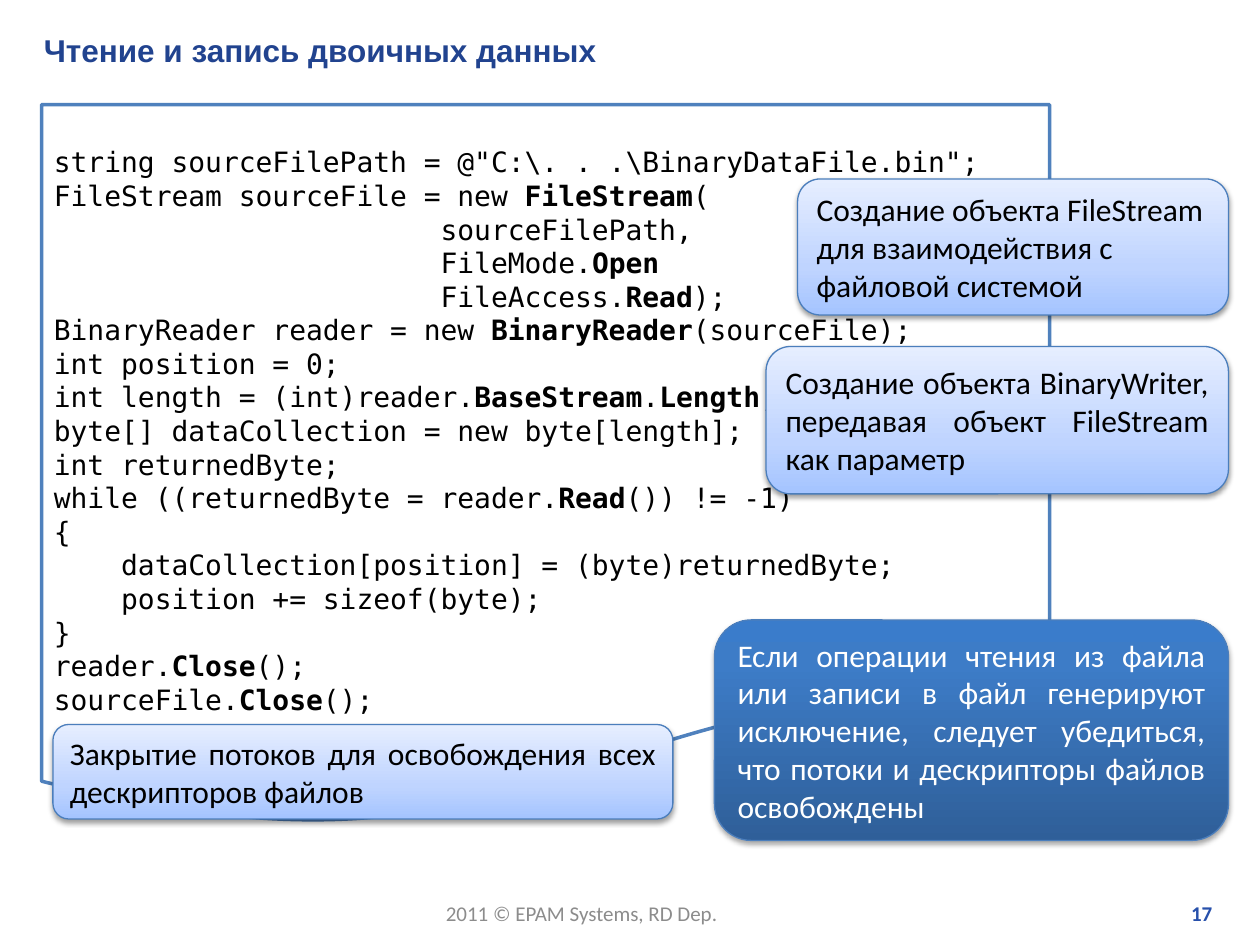
from lxml import etree
from pptx import Presentation
from pptx import util as u
from pptx.dml.color import RGBColor
from pptx.enum import shapes, text
from pptx.oxml import parse_xml
from pptx.oxml.ns import nsdecls, qn

LIGHT = [(0, "A4C4FF"), (35, "BFD4FF"), (100, "E6EEFF")]
DARK = [(0, "2F5F99"), (80, "3D7CC7"), (100, "3A7CCB")]
LEFT, JUSTIFY = text.PP_ALIGN.LEFT, text.PP_ALIGN.JUSTIFY

CODE = r'''string sourceFilePath = @"C:\. . .\BinaryDataFile.bin";
FileStream sourceFile = new *FileStream*(
                       sourceFilePath,
                       FileMode.*Open*
                       FileAccess.*Read*);
BinaryReader reader = new *BinaryReader*(sourceFile);
int position = 0;
int length = (int)reader.*BaseStream*.*Length*;
byte[] dataCollection = new byte[length];
int returnedByte;
while ((returnedByte = reader.*Read*()) != -1)
{
    dataCollection[position] = (byte)returnedByte;
    position += sizeof(byte);
}
reader.*Close*();
sourceFile.*Close*();'''

CALLOUTS = [
    ((0.42, 5.75, 4.92, 0.75), LIGHT, "000000", JUSTIFY,
     "Закрытие потоков для освобождения всех дескрипторов файлов"),
    ((6.33, 1.42, 3.42, 1.08), LIGHT, "000000", LEFT,
     "Создание объекта FileStream для взаимодействия с файловой системой"),
    ((6.08, 2.75, 3.67, 1.17), LIGHT, "000000", JUSTIFY,
     "Создание объекта BinaryWriter, передавая объект FileStream как параметр"),
    ((5.67, 4.92, 4.08, 1.75), DARK, "FFFFFF", JUSTIFY,
     "Если операции чтения из файла или записи в файл генерируют исключение, "
     "следует убедиться, что потоки и дескрипторы файлов освобождены"),
]


def color(value):
    """Turn a hex string into a colour."""
    return RGBColor.from_string(value)


def inches(box):
    """Turn left, top, width and height into lengths."""
    return [u.Inches(side) for side in box]


def add_run(paragraph, words, font, size, ink, bold=False):
    """Append one formatted run to a paragraph."""
    run = paragraph.add_run()
    run.text = words
    run.font.name, run.font.size, run.font.bold = font, u.Pt(size), bold
    run.font.color.rgb = color(ink)


def add_label(slide, box, words, font, size, ink, bold=False, align=LEFT, wrap=True):
    """Place one line of text in the given box."""
    frame = slide.shapes.add_textbox(*inches(box)).text_frame
    frame.word_wrap = wrap
    frame.vertical_anchor = text.MSO_ANCHOR.MIDDLE
    frame.paragraphs[0].alignment = align
    add_run(frame.paragraphs[0], words, font, size, ink, bold)


def add_panel(slide, kind, box, edge, weight):
    """Place an outlined shape without a shadow, ready for left-aligned text."""
    panel = slide.shapes.add_shape(kind, *inches(box))
    panel.shadow.inherit = False
    panel.line.color.rgb = color(edge)
    panel.line.width = u.Pt(weight)
    panel.text_frame.word_wrap = True
    return panel


def add_code(slide, box):
    """Place the listing, with names between asterisks in bold."""
    listing = add_panel(slide, shapes.MSO_SHAPE.FLOWCHART_DOCUMENT, box, "4F81BD", 2)
    listing.fill.solid()
    listing.fill.fore_color.rgb = color("FFFFFF")
    frame = listing.text_frame
    frame.vertical_anchor = text.MSO_ANCHOR.TOP
    frame.margin_top, frame.margin_bottom = u.Inches(0.32), 0
    for number, line in enumerate(CODE.split("\n")):
        paragraph = frame.add_paragraph() if number else frame.paragraphs[0]
        paragraph.alignment = LEFT
        for place, part in enumerate(line.split("*")):
            add_run(paragraph, part, "DejaVu Sans Mono", 16, "000000", place % 2 == 1)


def set_gradient(shape, stops):
    """Fill a shape with a gradient that runs from bottom to top."""
    shape.fill.gradient()
    shape.fill.gradient_angle = 90
    stop_list = shape._element.spPr.find(qn("a:gradFill")).find(qn("a:gsLst"))
    for stop in list(stop_list):
        stop_list.remove(stop)
    for percent, value in stops:
        stop = etree.SubElement(stop_list, qn("a:gs"), pos=str(percent * 1000))
        etree.SubElement(stop, qn("a:srgbClr"), val=value)


def set_shadow(shape, opacity, distance):
    """Give a shape a soft shadow straight below it."""
    shape._element.spPr.find(qn("a:effectLst")).append(parse_xml(
        f'<a:outerShdw {nsdecls("a")} blurRad="{u.Pt(3.1)}" dist="{u.Pt(distance)}" '
        f'dir="5400000" rotWithShape="0"><a:srgbClr val="000000">'
        f'<a:alpha val="{opacity * 1000}"/></a:srgbClr></a:outerShdw>'))


def add_callout(slide, box, stops, ink, align, words):
    """Place a rounded note with a gradient and a shadow."""
    note = add_panel(slide, shapes.MSO_SHAPE.ROUNDED_RECTANGLE, box, "4B7EBC", 0.75)
    set_gradient(note, stops)
    set_shadow(note, *((38, 1.6) if stops is LIGHT else (35, 1.8)))
    note.text_frame.vertical_anchor = text.MSO_ANCHOR.MIDDLE
    paragraph = note.text_frame.paragraphs[0]
    paragraph.alignment = align
    paragraph.space_after = u.Pt(10)
    add_run(paragraph, words, "Calibri", 18, ink)


def add_footer(slide, top, height):
    """Place the copyright line and the slide number."""
    add_label(slide, (3.44, top, 2.39, height), "2011 © EPAM Systems, RD Dep.",
              "Calibri", 12, "8C8C8C", wrap=False)
    add_label(slide, (7.6, top, 2.12, height), "17",
              "Calibri", 12, "2750AB", True, text.PP_ALIGN.RIGHT)


def main():
    """Build the slide and save it."""
    deck = Presentation()
    deck.slide_width, deck.slide_height = u.Inches(10), u.Inches(7.5)
    slide = deck.slides.add_slide(deck.slide_layouts[6])
    add_footer(slide, 7.1, 0.3)
    add_label(slide, (0.25, 0.2, 9.54, 0.4), "Чтение и запись двоичных данных",
              "Arial", 18, "21438F", True)
    add_code(slide, (0.33, 0.83, 8, 5.75))
    for callout in CALLOUTS:
        add_callout(slide, *callout)
    deck.save("out.pptx")


if __name__ == "__main__":
    main()
